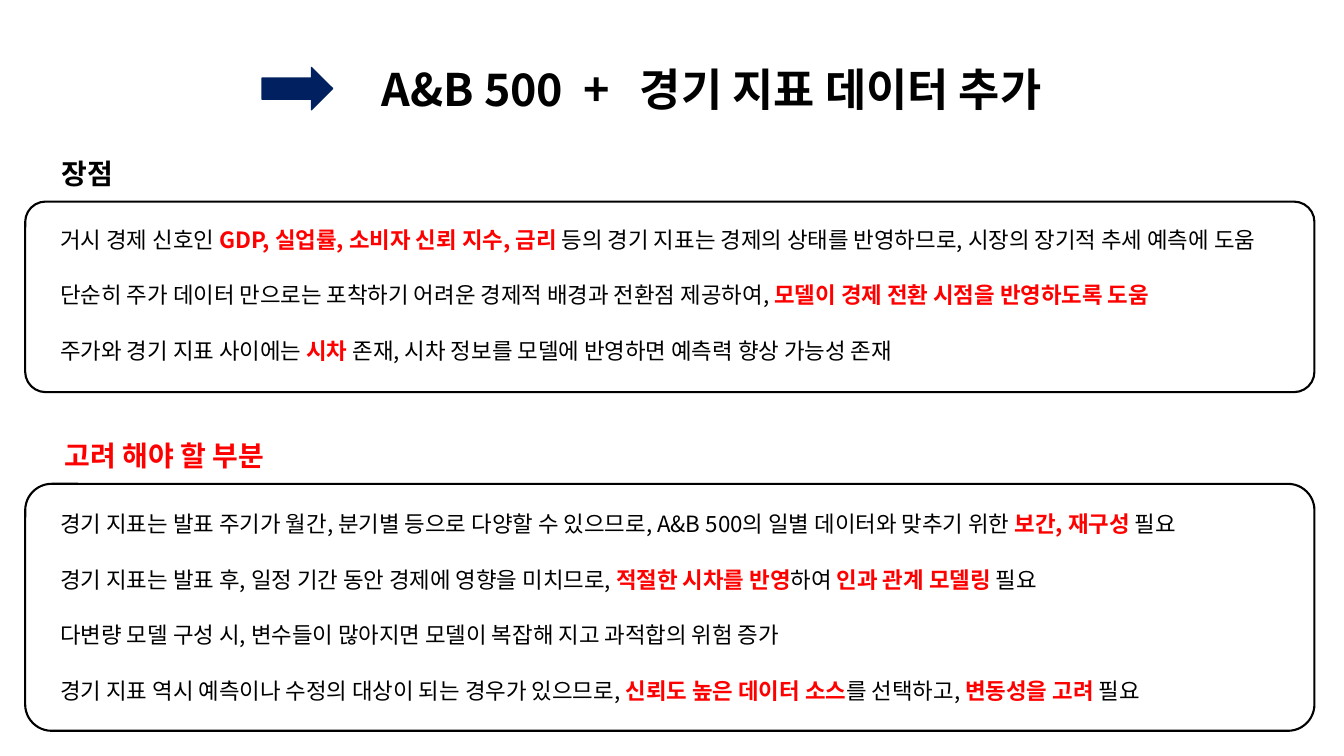
from pptx import Presentation
from pptx.dml.color import RGBColor
from pptx.enum import shapes, text
from pptx.oxml.ns import qn
from pptx.util import Pt
from lxml import etree

# Words between asterisks are stressed; each row is (width, words).
TITLE = ["A&B 500", " + ", "경기 지표 데이터 추가"]
PANELS = [
    dict(head="장점", wide=53.3, color="ink", top=144, high=136.1, pad=13.7, rows=[
        (893.5, "거시 경제 신호인 *GDP, 실업률, 소비자 신뢰 지수, 금리 *등의 경기 지표는 "
                "경제의 상태를 반영하므로, 시장의 장기적 추세 예측에 도움"),
        (903.6, "단순히 주가 데이터 만으로는 포착하기 어려운 경제적 배경과 전환점 제공하여, "
                "*모델이 경제 전환 시점을 반영하도록 도움"),
        (848.2, "주가와 경기 지표 사이에는 *시차* 존재, 시차 정보를 모델에 반영하면 "
                "예측력 향상 가능성 존재"),
    ]),
    dict(head="고려 해야 할 부분", wide=163.4, color="red", top=345.6, high=176.4, pad=15.1, rows=[
        (848.2, "경기 지표는 발표 주기가 월간, 분기별 등으로 다양할 수 있으므로, "
                "A&B 500의 일별 데이터와 맞추기 위한 *보간, 재구성 *필요"),
        (848.2, "경기 지표는 발표 후, 일정 기간 동안 경제에 영향을 미치므로, "
                "*적절한 시차를 반영*하여 *인과 관계 모델링 *필요"),
        (848.2, "다변량 모델 구성 시, 변수들이 많아지면 모델이 복잡해 지고 과적합의 위험 증가"),
        (848.2, "경기 지표 역시 예측이나 수정의 대상이 되는 경우가 있으므로, "
                "*신뢰도 높은 데이터 소스*를 선택하고, *변동성을 고려 *필요"),
    ]),
]
THEME = dict(font="Noto Sans CJK KR", ink=RGBColor(0, 0, 0), red=RGBColor(255, 0, 0),
             navy=RGBColor(0, 0x20, 0x60), title=32, head=20, body=16)
LEFT, EDGE, WIDE = 36, 18, 920.9
STEP, LIFT = 39.85, 36

deck = Presentation()
deck.slide_width, deck.slide_height = Pt(960), Pt(540)
slide = deck.slides.add_slide(deck.slide_layouts[6])


def write(parts, box, size, center=False):
    """Add a text box; each part is (words, color, bold, spacing in points)."""
    frame = slide.shapes.add_textbox(*map(Pt, box)).text_frame
    frame.word_wrap = True
    frame.auto_size = text.MSO_AUTO_SIZE.SHAPE_TO_FIT_TEXT
    para = frame.paragraphs[0]
    para.alignment = text.PP_ALIGN.CENTER if center else text.PP_ALIGN.LEFT
    for words, color, bold, gap in parts:
        run = para.add_run()
        run.text = words
        font = run.font
        font.name, font.size, font.bold = THEME["font"], Pt(THEME[size]), bold
        font.color.rgb = THEME[color]
        props = run._r.get_or_add_rPr()
        props.find(qn("a:latin")).addnext(
            etree.Element(qn("a:ea"), typeface=THEME["font"]))
        if gap:
            props.set("spc", str(gap * 100))


def draw(kind, box, line, weight, fill=None):
    shape = slide.shapes.add_shape(kind, *map(Pt, box))
    shape.shadow.inherit = False
    shape.line.color.rgb, shape.line.width = THEME[line], Pt(weight)
    if fill:
        shape.fill.solid()
        shape.fill.fore_color.rgb = THEME[fill]
    else:
        shape.fill.background()
    return shape


def stress(words):
    """Split words at asterisks into plain and red bold parts."""
    return [(bit, "red" if n % 2 else "ink", bool(n % 2), 0)
            for n, bit in enumerate(words.split("*")) if bit]


for panel in PANELS:
    top = panel["top"]
    for n, (wide, words) in enumerate(panel["rows"]):
        write(stress(words), (LEFT, top + panel["pad"] + n * STEP, wide, 26.6), "body")
    frame = draw(shapes.MSO_SHAPE.ROUNDED_RECTANGLE,
                 (EDGE, top, WIDE, panel["high"]), "ink", 1.5)
    frame.adjustments[0] = 0.107
    write([(panel["head"], panel["color"], True, 0)],
          (LEFT, top - LIFT, panel["wide"], 31.7), "head", center=True)

draw(shapes.MSO_SHAPE.RIGHT_ARROW, (187.2, 48.2, 50.4, 30.2), "navy", 1, "navy")
write([(words, "ink", True, 7 if words == " + " else 0) for words in TITLE],
      (244.1, 40.3, 528.5, 46.1), "title", center=True)

deck.save("out.pptx")
